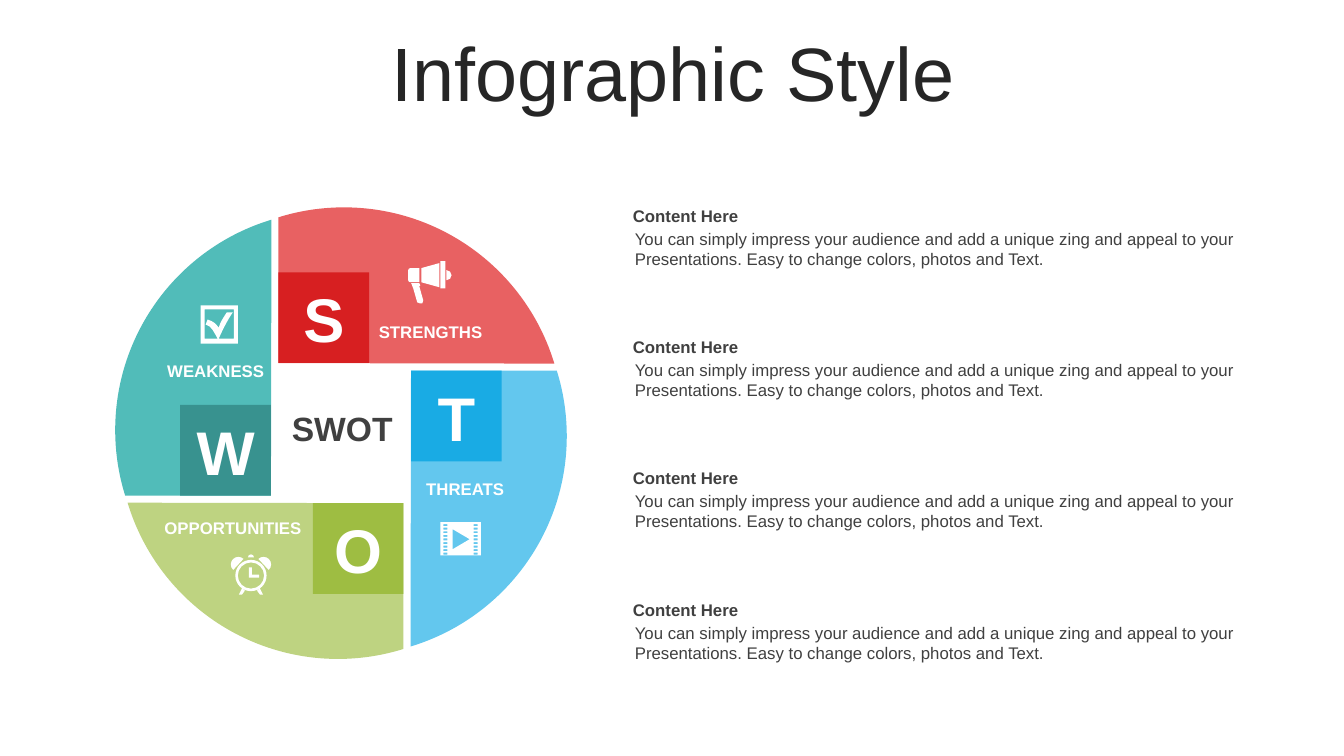
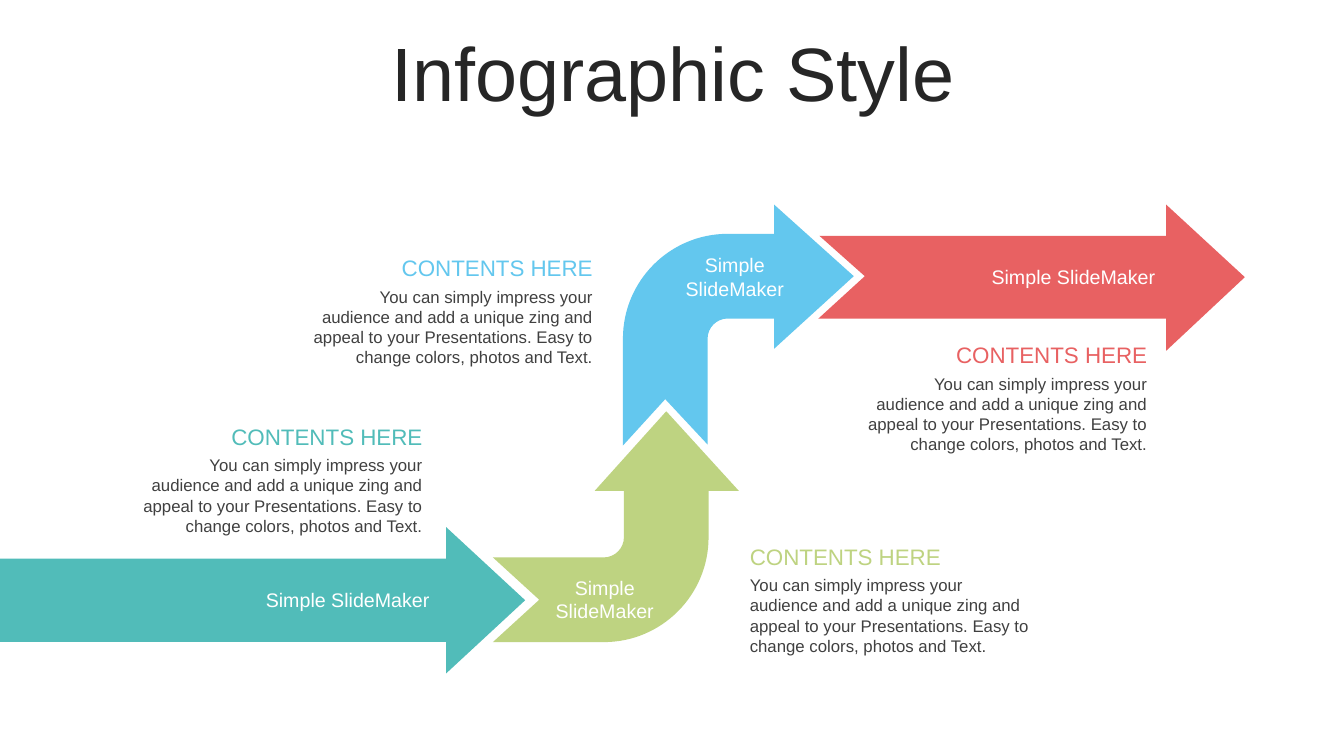
"""Build two infographic slides: a SWOT wheel and a chain of arrows."""
import math

from lxml import etree
from pptx import Presentation
from pptx.dml.color import RGBColor
from pptx.enum import shapes, text
from pptx.oxml import ns
from pptx.util import Pt

PX = 9144
FINE = 10
FONT = "Arial"
COLORS = {
    "title": "262626", "ink": "404040", "white": "FFFFFF",
    "green": "BED381", "blue": "63C7EE", "red": "E86162", "teal": "51BCB9",
    "deep_green": "9EBD42", "deep_blue": "19ABE4",
    "deep_red": "D71F21", "deep_teal": "38928F",
}
LEFT, CENTER, RIGHT = text.PP_ALIGN.LEFT, text.PP_ALIGN.CENTER, text.PP_ALIGN.RIGHT
TOP, MIDDLE, BOTTOM = text.MSO_ANCHOR.TOP, text.MSO_ANCHOR.MIDDLE, text.MSO_ANCHOR.BOTTOM
STYLES = {
    "title": {"size": 54, "bold": False, "anchor": MIDDLE, "spacing": 0.9},
    "letter": {"size": 44, "bold": True, "anchor": TOP, "spacing": 1},
    "hub": {"size": 24, "bold": True, "anchor": TOP, "spacing": 1},
    "label": {"size": 12, "bold": True, "anchor": TOP, "spacing": 1},
    "item": {"size": 12, "bold": True, "anchor": MIDDLE, "spacing": 1},
    "body": {"size": 12, "bold": False, "anchor": TOP, "spacing": 1},
    "heading": {"size": 16, "bold": False, "anchor": BOTTOM, "spacing": 1},
    "arrow": {"size": 14, "bold": False, "anchor": TOP, "spacing": 1},
}

TITLE = "Infographic Style"
BODY = ("You can simply impress your audience and add a unique zing and appeal "
        "to your Presentations. Easy to change colors, photos and Text.")
ITEM_HEAD = "Content Here"
ITEM_TOPS = [199, 329, 459, 590]
WHEEL_CENTER = (338.3, 429.7)
WHEEL_PARTS = [
    ("O", "green", "OPPORTUNITIES", (139, 509, 170, 30), RIGHT),
    ("T", "blue", "THREATS", (413, 470, 155, 30), LEFT),
    ("S", "red", "STRENGTHS", (366, 314, 176, 30), LEFT),
    ("W", "teal", "WEAKNESS", (109, 353, 163, 30), RIGHT),
]
CALLOUT_HEAD = "CONTENTS HERE"
CALLOUTS = [
    ("teal", 127, 414, RIGHT), ("blue", 296, 247, RIGHT),
    ("red", 846, 333, RIGHT), ("green", 734, 533, LEFT),
]
ARROW_TEXT = "Simple SlideMaker"
ARROW_BOXES = [(642, 246, 174, 57), (513, 566, 174, 57),
               (223, 578, 244, 34), (943, 258, 244, 34)]


def arc(x, y, radius, start, end):
    """Return a start point and Bezier triples, split where the arc crosses an axis."""
    low, high = sorted((start, end))
    stops = {low, high, *(a for a in range(-360, 361, 90) if low < a < high)}
    angles = [math.radians(a) for a in sorted(stops, reverse=end < start)]

    def at(angle, pull=0):
        return (x + radius * (math.cos(angle) - pull * math.sin(angle)),
                y + radius * (math.sin(angle) + pull * math.cos(angle)))

    segments = [at(angles[0])]
    for first, last in zip(angles, angles[1:]):
        pull = 4 / 3 * math.tan((last - first) / 4)
        segments.append((at(first, pull), at(last, -pull), at(last)))
    return segments


def is_curve(segment):
    """Tell a Bezier triple from a plain point."""
    return len(segment) == 3


def transform(segments, change):
    """Apply a change to every point of an outline."""
    return [tuple(change(*point) for point in segment) if is_curve(segment)
            else change(*segment) for segment in segments]


def box(left, top, width, height):
    """Return the corners of a rectangle."""
    right, bottom = left + width, top + height
    return [(left, top), (right, top), (right, bottom), (left, bottom)]


def mirror(segments, axis):
    """Reflect an outline across a vertical axis."""
    return transform(segments, lambda x, y: (2 * axis - x, y))


def turn(segments, quarters):
    """Turn an outline by quarter turns and move it to the wheel."""
    for _ in range(quarters):
        segments = transform(segments, lambda x, y: (y, -x))
    return transform(segments, lambda x, y: (x + WHEEL_CENTER[0], y + WHEEL_CENTER[1]))


def clock_icon():
    """Return the outlines of an alarm clock."""
    x, y = 249, 571
    bell = arc(236.5, 560, 7.5, -47, -227)
    foot = [(240, 584), (243, 586), (240, 590), (237, 590)]
    hands = [(247, 563), (250, 563), (250, 570), (257, 570), (257, 573), (247, 573)]
    return [arc(x, y, 15.5, 0, 360), arc(x, y, 13, 0, 360), hands,
            arc(x, 553, 3, 180, 360), bell, mirror(bell, x), foot, mirror(foot, x)]


def film_icon():
    """Return the outlines of a film frame with a play sign."""
    holes = [box(left, 520 + 3.55 * row, 4, 2) for row in range(9) for left in (440, 470)]
    return [box(437, 518, 40, 33), [(449, 525), (449, 545), (466, 535)], *holes]


MEGAPHONE = [
    [(408, 281), (416, 281), (417, 283), (416, 284), (420, 298), (419, 301),
     (417, 301), (414, 300), (410, 286)],
    arc(443, 273, 5, -90, 90),
    [*arc(407, 268, 2, 180, 270), (416, 266), (416, 280), *arc(407, 278, 2, 90, 180)],
    [(436, 261), (436, 285), (418, 280), (418, 266)],
    box(437, 259, 5, 27),
]
CHECK_BOX = [
    box(199, 303, 37, 38),
    [(203, 307), (203, 336), (216, 336), ((213, 331), (210, 323), (204, 322)),
     (206, 317), ((212, 319), (214, 321), (217, 325)),
     ((219, 319), (221, 316), (225, 310)), (231, 310),
     ((226, 317), (221, 327), (217, 336)), (232, 336), (232, 307)],
]
QUADRANT = [(62, 69.5), *arc(-3, 6, 218, 72.66, 163.2)]
TILE = box(-28, 69.5, 90, 90)
ARROWS = [
    ("blue", [(618, 442), (660, 396), (702, 441), *arc(722, 336, 20, 180, 270),
              (768, 316), (768, 346), (847, 274), (768, 203), (768, 232),
              *arc(722, 336, 104, 270, 180)]),
    ("green", [(489, 637), *arc(599, 533, 104, 90, 0), (703, 487), (733, 487),
               (661, 408), (590, 487), (619, 487), *arc(599, 533, 20, 0, 90),
               (489, 553), (535, 595)]),
    ("red", [(1157, 348), (1235, 275), (1157, 203), (1157, 234), (813, 234),
             (858, 274), (812, 316), (1157, 316)]),
]


def paint(shape, color):
    """Give a shape a plain fill without line or shadow."""
    shape.shadow.inherit = False
    shape.fill.solid()
    shape.fill.fore_color.rgb = RGBColor.from_string(COLORS[color])
    shape.line.fill.background()


def bend(shape, segments):
    """Join the three straight lines that stand for each curve into a Bezier."""
    lines = iter(list(shape.element.iter(ns.qn("a:lnTo"))))
    for segment in segments:
        first = next(lines)
        if is_curve(segment):
            curve = etree.Element(ns.qn("a:cubicBezTo"))
            first.addprevious(curve)
            for line in (first, next(lines), next(lines)):
                curve.append(line[0])
                line.getparent().remove(line)


def add_outline(slide, contours, color):
    """Draw closed contours of points and curves as one freeform."""
    contours = [transform(segments, lambda x, y: (x * FINE, y * FINE))
                for segments in contours]
    builder = slide.shapes.build_freeform(*contours[0][0], scale=PX / FINE)
    for index, (start, *segments) in enumerate(contours):
        if index:
            builder.move_to(*start)
        points = [point for segment in segments
                  for point in (segment if is_curve(segment) else [segment])]
        builder.add_line_segments(points, close=True)
    shape = builder.convert_to_shape()
    bend(shape, [segment for _, *segments in contours for segment in segments])
    paint(shape, color)


def add_preset(slide, kind, frame, color):
    """Add a filled preset shape."""
    shape = slide.shapes.add_shape(kind, *(round(v * PX) for v in frame))
    paint(shape, color)
    return shape


def add_text(slide, content, frame, style, color="ink", align=LEFT):
    """Add a wrapped text box in one of the named styles."""
    look = STYLES[style]
    text_frame = slide.shapes.add_textbox(*(round(v * PX) for v in frame)).text_frame
    paragraph = text_frame.paragraphs[0]
    paragraph.text = content
    formats = [
        (text_frame, {"word_wrap": True, "vertical_anchor": look["anchor"]}),
        (paragraph, {"alignment": align, "line_spacing": look["spacing"]}),
        (paragraph.runs[0].font,
         {"name": FONT, "size": Pt(look["size"]), "bold": look["bold"]}),
    ]
    for target, values in formats:
        for name, value in values.items():
            setattr(target, name, value)
    paragraph.runs[0].font.color.rgb = RGBColor.from_string(COLORS[color])


def add_slide(presentation):
    """Add a blank slide with the shared title."""
    slide = presentation.slides.add_slide(presentation.slide_layouts[6])
    add_text(slide, TITLE, (35, 37, 1266, 79), "title", "title", CENTER)
    return slide


def build_wheel(slide):
    """Draw the SWOT wheel and its list of items."""
    for quarters, (_, color, *_) in enumerate(WHEEL_PARTS):
        add_outline(slide, [turn(QUADRANT, quarters)], color)
    for quarters, (letter, color, label, frame, align) in enumerate(WHEEL_PARTS):
        left, top = (min(values) for values in zip(*turn(TILE, quarters)))
        add_preset(slide, shapes.MSO_SHAPE.RECTANGLE, (left, top, 90, 90), f"deep_{color}")
        add_text(slide, letter, (left + 4.5, top + 4, 81, 84), "letter", "white", CENTER)
        add_text(slide, label, frame, "label", "white", align)
    add_text(slide, "SWOT", (275, 400, 129, 50), "hub", align=CENTER)
    for top in ITEM_TOPS:
        add_text(slide, ITEM_HEAD, (618, top, 632, 30), "item")
        add_text(slide, BODY, (620, top + 23, 630, 50), "body")
    for icon in (clock_icon(), CHECK_BOX, MEGAPHONE, film_icon()):
        add_outline(slide, icon, "white")


def build_arrows(slide):
    """Draw the chain of arrows and its callouts."""
    for color, points in ARROWS:
        add_outline(slide, [points], color)
    start = add_preset(slide, shapes.MSO_SHAPE.RIGHT_ARROW, (0, 523, 521, 145), "teal")
    start.adjustments[0], start.adjustments[1] = 0.57, 0.54
    for frame in ARROW_BOXES:
        add_text(slide, ARROW_TEXT, frame, "arrow", "white", CENTER)
    for color, left, top, align in CALLOUTS:
        add_text(slide, BODY, (left, top + 32.5, 302, 91), "body", align=align)
        add_text(slide, CALLOUT_HEAD, (left, top, 302, 37), "heading", color, align)


def main():
    """Build and save the presentation."""
    presentation = Presentation()
    presentation.slide_width, presentation.slide_height = round(1333.33 * PX), 750 * PX
    for build in (build_wheel, build_arrows):
        build(add_slide(presentation))
    presentation.save("out.pptx")


if __name__ == "__main__":
    main()
